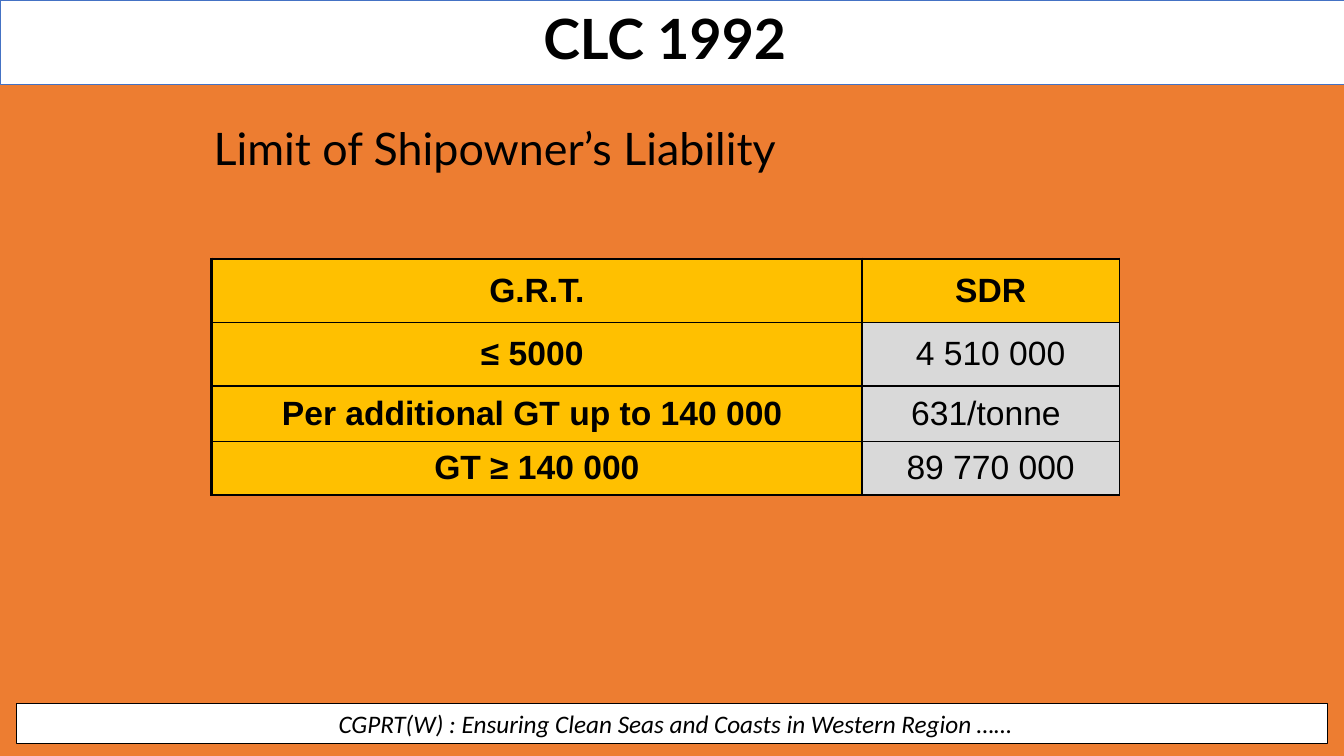
from lxml import etree
from pptx import Presentation
from pptx import util as u
from pptx.dml.color import RGBColor
from pptx.enum import shapes, text
from pptx.oxml import ns

BLACK = RGBColor(0x00, 0x00, 0x00)
WHITE = RGBColor(0xFF, 0xFF, 0xFF)
ORANGE = RGBColor(0xED, 0x7D, 0x31)
BLUE = RGBColor(0x44, 0x72, 0xC4)
GOLD = RGBColor(0xFF, 0xC0, 0x00)
GREY = RGBColor(0xD9, 0xD9, 0xD9)

deck = Presentation()
deck.slide_width, deck.slide_height = u.Inches(13.33), u.Inches(7.5)
slide = deck.slides.add_slide(deck.slide_layouts[5])
slide.background.fill.solid()
slide.background.fill.fore_color.rgb = ORANGE


def add_run(para, words, font, size, bold=False, italic=False):
    run = para.add_run()
    run.text = words
    run.font.name, run.font.size = font, u.Pt(size)
    run.font.bold, run.font.italic = bold, italic
    run.font.color.rgb = BLACK


def add_bar(left, top, width, height, color, weight):
    bar = slide.shapes.add_shape(shapes.MSO_SHAPE.RECTANGLE, *map(u.Inches, (left, top, width, height)))
    bar.shadow.inherit = False
    bar.fill.solid()
    bar.fill.fore_color.rgb = WHITE
    bar.line.color.rgb = color
    bar.line.width = u.Pt(weight)
    return bar


# Title on a white band, which goes behind it
band = add_bar(0, 0, 13.33, 0.84, BLUE, 0.5)
title = slide.shapes.title
title._element.addprevious(band._element)
title.left, title.top, title.width, title.height = map(u.Inches, (2.16, 0.11, 9, 0.61))
frame = title.text_frame
frame.auto_size = text.MSO_AUTO_SIZE.NONE
frame.vertical_anchor = text.MSO_ANCHOR.MIDDLE
para = frame.paragraphs[0]
para.alignment = text.PP_ALIGN.CENTER
para.line_spacing = 0.9
add_run(para, "CLC 1992 ", "Lato", 39.6, bold=True)

# Liability table
rows = [
    ("G.R.T.", "SDR"),
    ("≤ 5000 ", "4 510 000"),
    ("Per additional GT up to 140 000 ", "631/tonne "),
    ("GT ≥ 140 000", "89 770 000"),
]
table = slide.shapes.add_table(4, 2, *map(u.Inches, (2.1, 2.57, 9, 2.34))).table
table.first_row = table.horz_banding = False
for col, width in zip(table.columns, (6.45, 2.55)):
    col.width = u.Inches(width)
for row, height in zip(table.rows, (0.63, 0.63, 0.55, 0.53)):
    row.height = u.Inches(height)

for r, row in enumerate(rows):
    for c, words in enumerate(row):
        cell = table.cell(r, c)
        head = r == 0 or c == 0
        cell.fill.solid()
        cell.fill.fore_color.rgb = GOLD if head else GREY
        cell.vertical_anchor = text.MSO_ANCHOR.MIDDLE
        para = cell.text_frame.paragraphs[0]
        para.alignment = text.PP_ALIGN.CENTER
        add_run(para, words, "Arial", 24, bold=head)
        # Heavy lines on the left, top and bottom edges of the table
        heavy = {"L": c == 0, "R": False, "T": r == 0, "B": r == 3}
        props = cell._tc.get_or_add_tcPr()
        for i, (side, thick) in enumerate(heavy.items()):
            edge = etree.Element(ns.qn(f"a:ln{side}"), w=str(u.Pt(2.25 if thick else 1)))
            fill = etree.SubElement(edge, ns.qn("a:solidFill"))
            etree.SubElement(fill, ns.qn("a:srgbClr"), val=str(BLACK))
            props.insert(i, edge)

# Heading above the table
label = slide.shapes.add_textbox(*map(u.Inches, (2.02, 1.15, 5.83, 0.64)))
label.text_frame.word_wrap = False
label.text_frame.auto_size = text.MSO_AUTO_SIZE.SHAPE_TO_FIT_TEXT
add_run(label.text_frame.paragraphs[0], "Limit of Shipowner’s Liability", "Lato", 32)

# Motto at the foot
foot = add_bar(0.16, 6.98, 13.01, 0.4, BLACK, 0.75)
foot.text_frame.vertical_anchor = text.MSO_ANCHOR.MIDDLE
para = foot.text_frame.paragraphs[0]
para.alignment = text.PP_ALIGN.CENTER
add_run(para, " ", "Arial", 18)
add_run(para, "CGPRT(W) : Ensuring Clean Seas and Coasts in Western Region ……", "Calibri", 18, italic=True)

deck.save("out.pptx")
